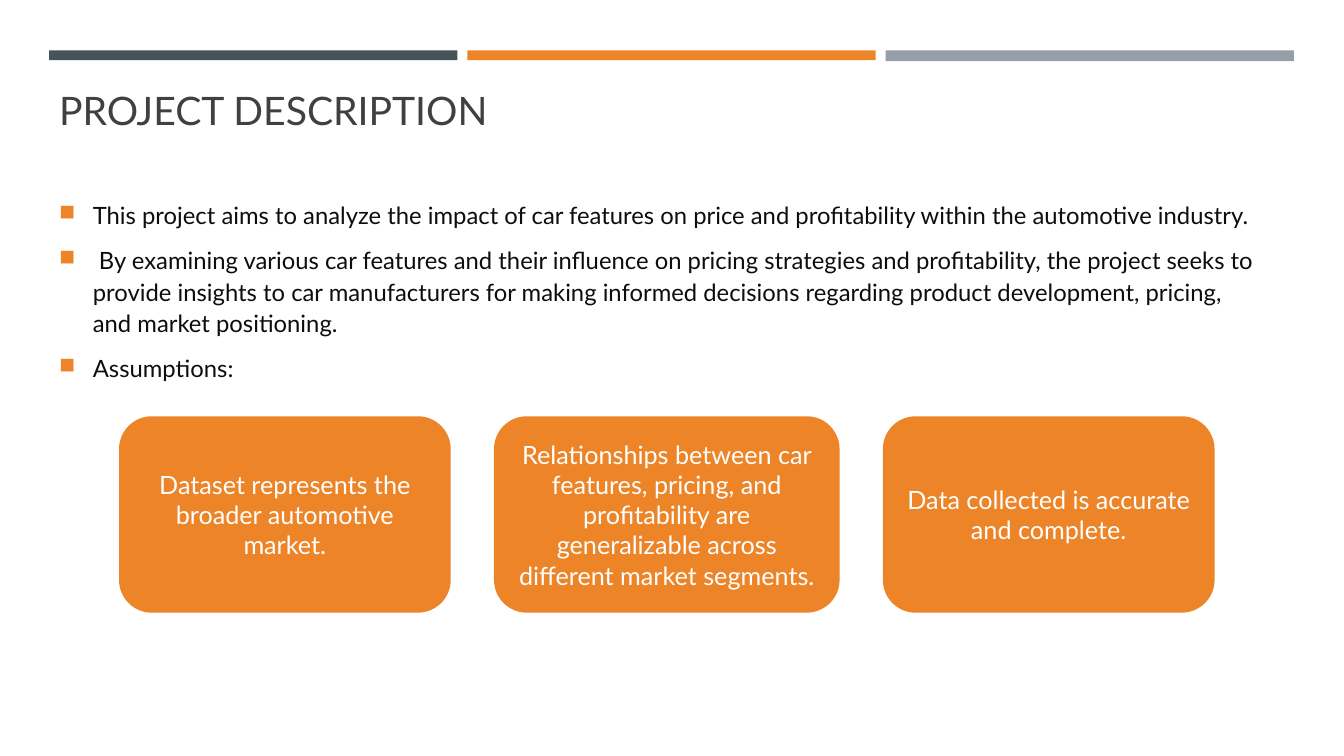
"""Build the project description slide with its three assumption cards."""
from lxml.etree import SubElement
from pptx import Presentation
from pptx.dml.color import RGBColor
from pptx.enum.shapes import MSO_SHAPE as Preset
from pptx.enum.text import MSO_ANCHOR as Anchor, PP_ALIGN as Align
from pptx.oxml.ns import qn
from pptx.util import Cm, Pt

SLATE = RGBColor(0x46, 0x53, 0x59)
ORANGE = RGBColor(0xED, 0x84, 0x28)
GREY = RGBColor(0x96, 0x9F, 0xA7)
TITLE_GREY = RGBColor(0x40, 0x40, 0x40)
INK = RGBColor(0x0D, 0x0D, 0x0D)
WHITE = RGBColor(0xFF, 0xFF, 0xFF)
FONT = "Lato"

TITLE = "PROJECT DESCRIPTION"
POINTS = [
    "This project aims to analyze the impact of car features on price and "
    "profitability within the automotive industry.",
    " By examining various car features and their influence on pricing strategies "
    "and profitability, the project seeks to provide insights to car manufacturers "
    "for making informed decisions regarding product development, pricing, and "
    "market positioning.",
    "Assumptions:",
]
ASSUMPTIONS = [
    ("Dataset represents the broader automotive market.", 8.36),
    ("Relationships between car features, pricing, and profitability are "
     "generalizable across different market segments.", 8.71),
    ("Data collected is accurate and complete.", 8.36),
]
BANDS = [(SLATE, 0.25), (ORANGE, 0.25), (GREY, 0.27)]

MARGIN = 1.24
BAND_TOP, BAND_WIDTH, BAND_PITCH = 1.27, 10.29, 10.54
CARD_LEFT, CARD_TOP, CARD_HEIGHT, CARD_GAP = 3.0, 10.49, 4.95, 1.09


def add_bullet(paragraph):
    paragraph.line_spacing = 1.1
    paragraph.space_before = Pt(3.6)
    paragraph.space_after = Pt(6)
    properties = paragraph._p.get_or_add_pPr()
    properties.set("marL", str(Cm(0.85)))
    properties.set("indent", str(-Cm(0.85)))
    colour = SubElement(properties, qn("a:buClr"))
    SubElement(colour, qn("a:srgbClr"), val=str(ORANGE))
    SubElement(properties, qn("a:buSzPct"), val="92000")
    SubElement(properties, qn("a:buChar"), char="■")


def write(shape, *texts, size, colour, anchor=Anchor.MIDDLE, align=Align.LEFT, bullets=False):
    frame = shape.text_frame
    frame.word_wrap = True
    frame.vertical_anchor = anchor
    for index, text in enumerate(texts):
        paragraph = frame.add_paragraph() if index else frame.paragraphs[0]
        paragraph.alignment = align
        if bullets:
            add_bullet(paragraph)
        run = paragraph.add_run()
        run.text = text
        run.font.name = FONT
        run.font.size = Pt(size)
        run.font.color.rgb = colour


def add_block(slide, preset, left, top, width, height, fill):
    block = slide.shapes.add_shape(preset, Cm(left), Cm(top), Cm(width), Cm(height))
    block.shadow.inherit = False
    block.fill.solid()
    block.fill.fore_color.rgb = fill
    block.line.fill.background()
    return block


def main():
    deck = Presentation()
    deck.slide_width, deck.slide_height = Cm(33.87), Cm(19.05)
    slide = deck.slides.add_slide(deck.slide_layouts[6])

    for column, (fill, height) in enumerate(BANDS):
        add_block(slide, Preset.RECTANGLE, MARGIN + column * BAND_PITCH, BAND_TOP,
                  BAND_WIDTH, height, fill)

    title = slide.shapes.add_textbox(Cm(MARGIN), Cm(1.63), Cm(30.63), Cm(1.85))
    write(title, TITLE, size=28, colour=TITLE_GREY, anchor=Anchor.BOTTOM)

    summary = slide.shapes.add_textbox(Cm(MARGIN), Cm(4.14), Cm(30.89), Cm(6.35))
    write(summary, *POINTS, size=17, colour=INK, bullets=True)

    left = CARD_LEFT
    for assumption, width in ASSUMPTIONS:
        card = add_block(slide, Preset.ROUNDED_RECTANGLE, left, CARD_TOP,
                         width, CARD_HEIGHT, ORANGE)
        write(card, assumption, size=18, colour=WHITE, align=Align.CENTER)
        left += width + CARD_GAP

    deck.save("out.pptx")


if __name__ == "__main__":
    main()
